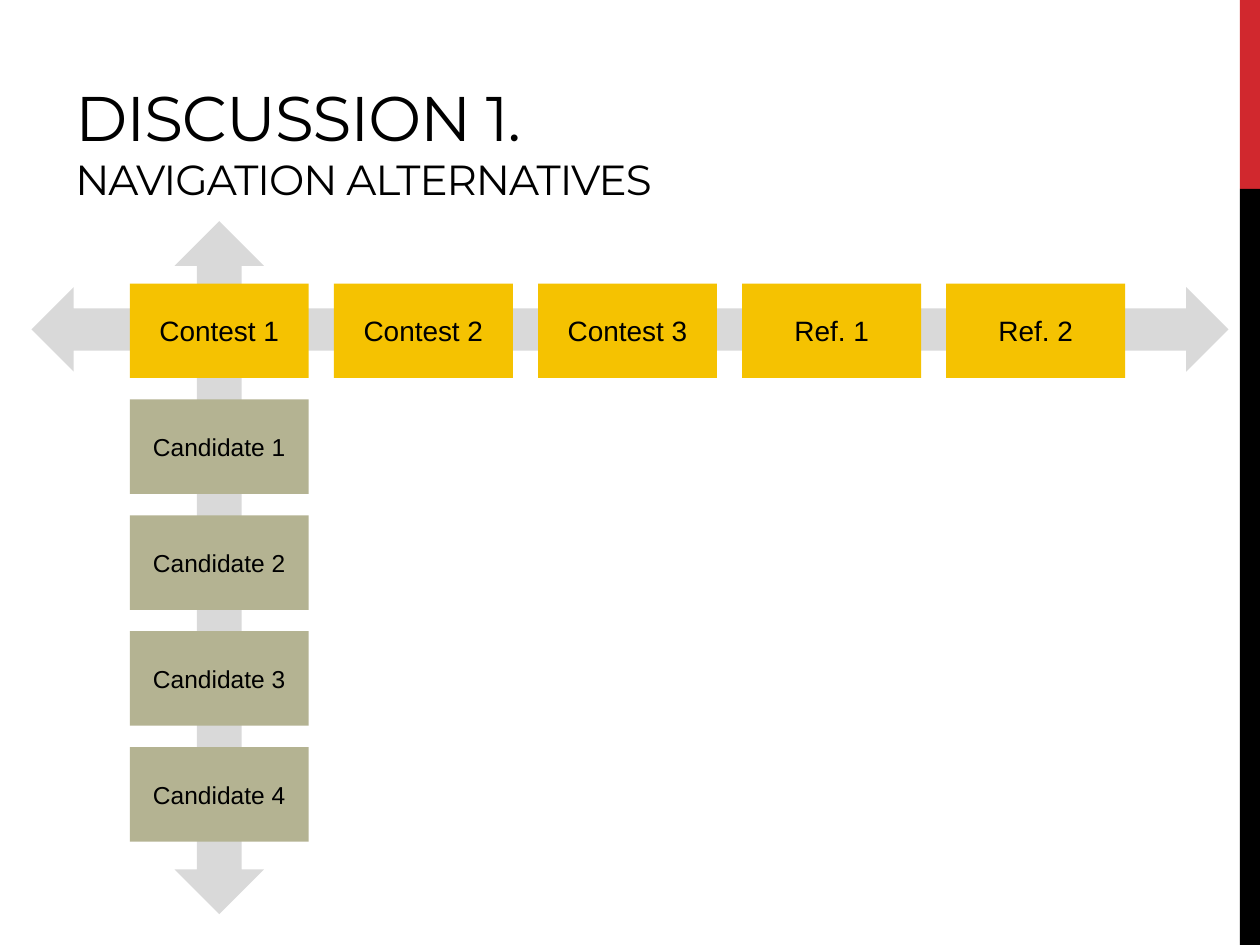
from pptx import Presentation
from pptx.dml.color import RGBColor
from pptx.enum.shapes import MSO_SHAPE
from pptx.enum.text import MSO_ANCHOR, PP_ALIGN
from pptx.util import Inches, Pt

TITLE_LINES = [("DISCUSSION 1.", 36), ("NAVIGATION ALTERNATIVES", 24)]
CONTESTS = ["Contest 1", "Contest 2", "Contest 3", "Ref. 1", "Ref. 2"]
CANDIDATES = ["Candidate 1", "Candidate 2", "Candidate 3", "Candidate 4"]

BLACK, RED, GREY = "000000", "D1282E", "D9D9D9"
YELLOW, OLIVE = "F5C201", "B4B392"

WIDTH, HEIGHT = 10, 7.5
BAND_WIDTH, BAND_SPLIT = 0.16, HEIGHT / 5
BOX_WIDTH, BOX_HEIGHT = 1.42, 0.75
GRID_LEFT, CONTEST_TOP, CANDIDATE_TOP = 1.03, 2.25, 3.17
COLUMN_STEP, ROW_STEP = 1.62, 0.92


def color(hex_value):
    return RGBColor.from_string(hex_value)


def add_block(slide, preset, left, top, width, height, fill):
    block = slide.shapes.add_shape(
        preset, Inches(left), Inches(top), Inches(width), Inches(height))
    block.shadow.inherit = False
    block.fill.solid()
    block.fill.fore_color.rgb = color(fill)
    block.line.fill.background()
    return block


def add_run(paragraph, text, size, font_name):
    run = paragraph.add_run()
    run.text = text
    for key, value in {"name": font_name, "size": Pt(size)}.items():
        setattr(run.font, key, value)
    run.font.color.rgb = color(BLACK)
    return run


def add_box(slide, label, left, top, fill, size):
    box = add_block(slide, MSO_SHAPE.RECTANGLE, left, top, BOX_WIDTH, BOX_HEIGHT, fill)
    box.text_frame.vertical_anchor = MSO_ANCHOR.MIDDLE
    paragraph = box.text_frame.paragraphs[0]
    paragraph.alignment = PP_ALIGN.CENTER
    add_run(paragraph, label, size, "Arial")


def add_title(slide):
    title = slide.shapes.add_textbox(Inches(0.5), Inches(0.17), Inches(6.33), Inches(1.5))
    frame = title.text_frame
    frame.word_wrap = True
    frame.vertical_anchor = MSO_ANCHOR.BOTTOM
    paragraph = frame.paragraphs[0]
    for index, (text, size) in enumerate(TITLE_LINES):
        if index:
            paragraph.add_line_break()
        run = add_run(paragraph, text, size, "Montserrat")
        run.font._element.set("spc", "-60")


def main():
    deck = Presentation()
    deck.slide_width, deck.slide_height = Inches(WIDTH), Inches(HEIGHT)
    slide = deck.slides.add_slide(deck.slide_layouts[6])

    band_left = WIDTH - BAND_WIDTH
    for top, height, fill in [(0, BAND_SPLIT, RED),
                              (BAND_SPLIT, HEIGHT - BAND_SPLIT, BLACK)]:
        add_block(slide, MSO_SHAPE.RECTANGLE, band_left, top, BAND_WIDTH, height, fill)

    add_title(slide)

    arrow = MSO_SHAPE.LEFT_RIGHT_ARROW
    add_block(slide, arrow, 0.25, 2.28, 9.5, 0.67, GREY)
    column_center = GRID_LEFT + BOX_WIDTH / 2
    candidate_arrow = add_block(slide, arrow, column_center - 5.5 / 2, 4.15, 5.5, 0.71, GREY)
    candidate_arrow.rotation = 270

    for column, label in enumerate(CONTESTS):
        add_box(slide, label, GRID_LEFT + column * COLUMN_STEP, CONTEST_TOP, YELLOW, 16)
    for row, label in enumerate(CANDIDATES):
        add_box(slide, label, GRID_LEFT, CANDIDATE_TOP + row * ROW_STEP, OLIVE, 14)

    deck.save("out.pptx")


if __name__ == "__main__":
    main()
